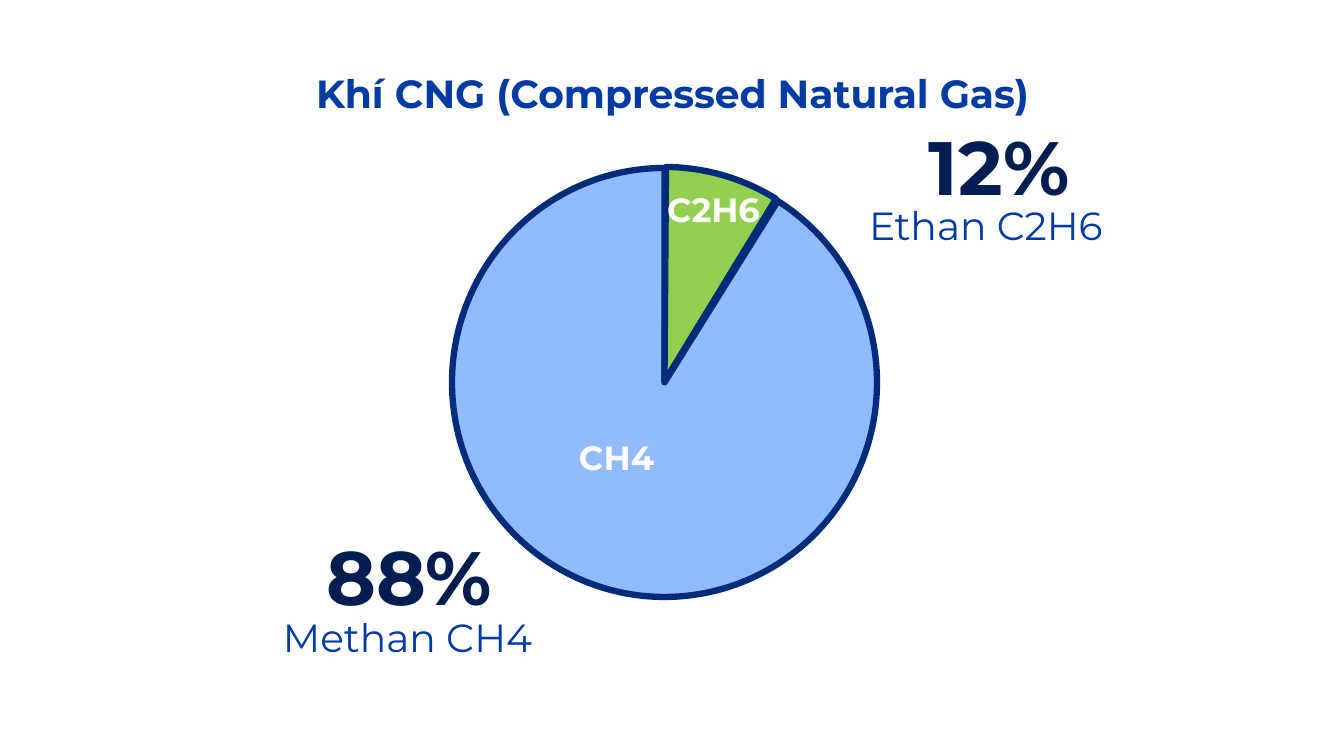
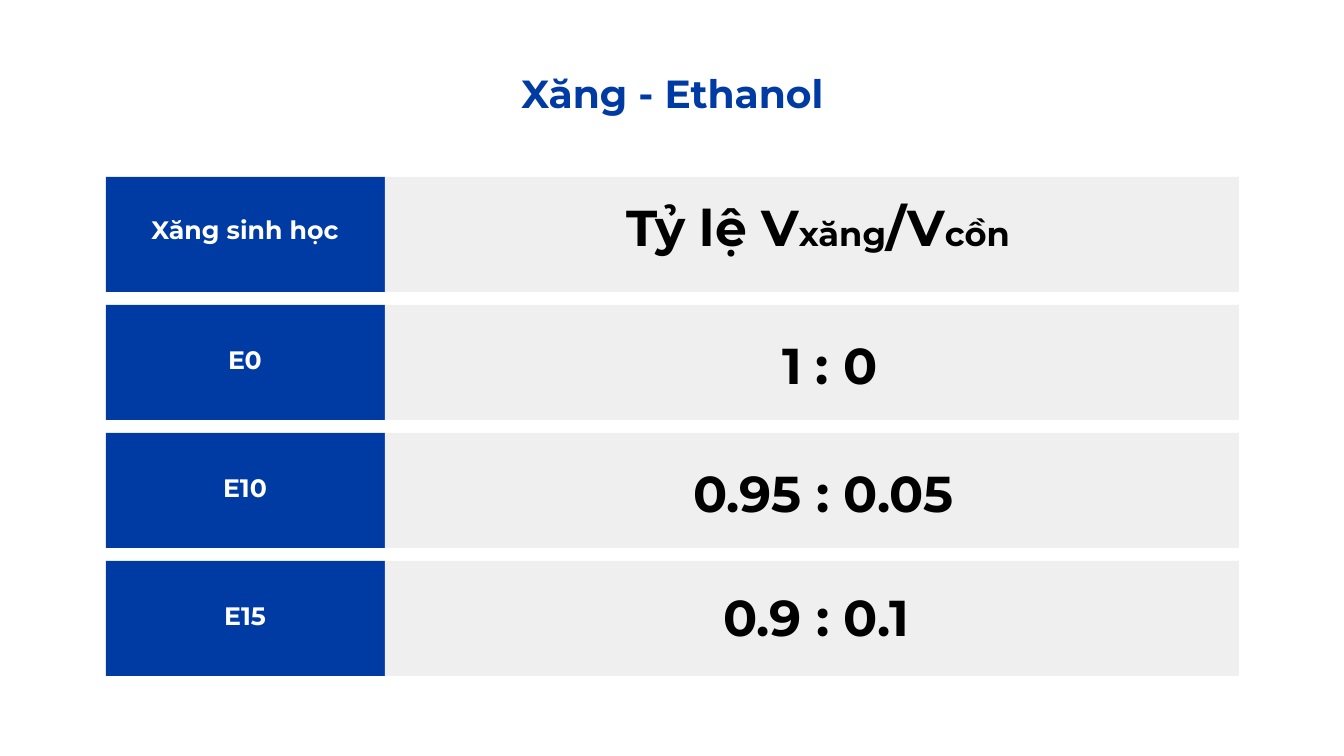
from dataclasses import dataclass

from pptx import Presentation, util as u
from pptx.dml.color import RGBColor
from pptx.enum import shapes, text


@dataclass(frozen=True)
class Theme:
    font: str = "Montserrat"
    blue: str = "003BA3"
    navy: str = "001D52"
    outline: str = "002C79"
    methane: str = "92BAFF"
    ethane: str = "92D050"
    grey: str = "EFEFEF"
    white: str = "FFFFFF"
    black: str = "000000"
    heading: int = 28
    percent: int = 54
    slice_label: int = 24
    row_label: int = 18
    ratio: int = 36
    subscript: int = 24
    pie_line: float = 4.5


theme = Theme()
PX = 914400 / 100.8
LEFT, CENTER, RIGHT = text.PP_ALIGN.LEFT, text.PP_ALIGN.CENTER, text.PP_ALIGN.RIGHT


def add_text(slide, box, runs, size, color, bold=True, align=LEFT, inset=13, anchor=text.MSO_ANCHOR.TOP):
    frame = slide.shapes.add_textbox(*(round(n * PX) for n in box)).text_frame
    frame.word_wrap = True
    frame.vertical_anchor = anchor
    frame.margin_left = frame.margin_top = frame.margin_right = frame.margin_bottom = round(inset * PX)
    paragraph = frame.paragraphs[0]
    paragraph.alignment = align
    font = paragraph.font
    font.name, font.size, font.bold = theme.font, u.Pt(size), bold
    font.color.rgb = RGBColor.from_string(color)
    for words, run_size in runs:
        run = paragraph.add_run()
        run.text = words
        if run_size != size:
            run.font.size = u.Pt(run_size)


def add_filled(slide, preset, box, color):
    shape = slide.shapes.add_shape(preset, *(round(n * PX) for n in box))
    shape.shadow.inherit = False
    shape.fill.solid()
    shape.fill.fore_color.rgb = RGBColor.from_string(color)
    shape.line.fill.background()
    return shape


prs = Presentation()
prs.slide_width, prs.slide_height = round(1344 * PX), round(756 * PX)

slides = []
for heading in ("Khí CNG (Compressed Natural Gas)", "Xăng - Ethanol"):
    slide = prs.slides.add_slide(prs.slide_layouts[6])
    add_text(slide, (106, 56, 1133, 138), [(heading, theme.heading)], theme.heading, theme.blue, align=CENTER)
    slides.append(slide)
gas_slide, fuel_slide = slides

for top, start, end, color in ((168, 302, 270, theme.methane), (167, 270.4, 301.4, theme.ethane)):
    sector = add_filled(gas_slide, shapes.MSO_SHAPE.PIE, (452, top, 425, 429), color)
    sector.adjustments[0], sector.adjustments[1] = start * 0.6, end * 0.6
    sector.line.color.rgb = RGBColor.from_string(theme.outline)
    sector.line.width = u.Pt(theme.pie_line)

gases = (
    ("12%", (919, 109), "Ethan C2H6", (856, 188), LEFT, "C2H6", (654, 176)),
    ("88%", (317, 519), "Methan CH4", (212, 600), RIGHT, "CH4", (566, 424)),
)
for share, share_at, gas, gas_at, align, formula, formula_at in gases:
    add_text(gas_slide, (*share_at, 270, 113), [(share, theme.percent)], theme.percent, theme.navy,
             inset=10, anchor=text.MSO_ANCHOR.MIDDLE)
    add_text(gas_slide, (*gas_at, 333, 60), [(gas, theme.heading)], theme.heading, theme.blue,
             bold=False, align=align)
    add_text(gas_slide, (*formula_at, 333, 60), [(formula, theme.slice_label)], theme.slice_label, theme.white)

ratio_heading = [("Tỷ lệ V", theme.ratio), ("xăng", theme.subscript),
                 ("/V", theme.ratio), ("cồn", theme.subscript)]
fuels = (
    ("Xăng sinh học", 201, ratio_heading, (613, 183)),
    ("E0", 331, [("1 : 0", theme.ratio)], (769, 321)),
    ("E10", 459, [("0.95 : 0.05", theme.ratio)], (680, 449)),
    ("E15", 587, [("0.9 : 0.1", theme.ratio)], (710, 573)),
)
for row, (fuel, fuel_top, ratio, ratio_at) in enumerate(fuels):
    top = 177 + row * 128
    add_filled(fuel_slide, shapes.MSO_SHAPE.RECTANGLE, (106, top, 279, 115), theme.blue)
    add_filled(fuel_slide, shapes.MSO_SHAPE.RECTANGLE, (385, top, 854, 115), theme.grey)
    add_text(fuel_slide, (130, fuel_top, 230, 64), [(fuel, theme.row_label)], theme.row_label, theme.white,
             align=CENTER)
    add_text(fuel_slide, (*ratio_at, 500, 81), ratio, theme.ratio, theme.black)

prs.save("out.pptx")
